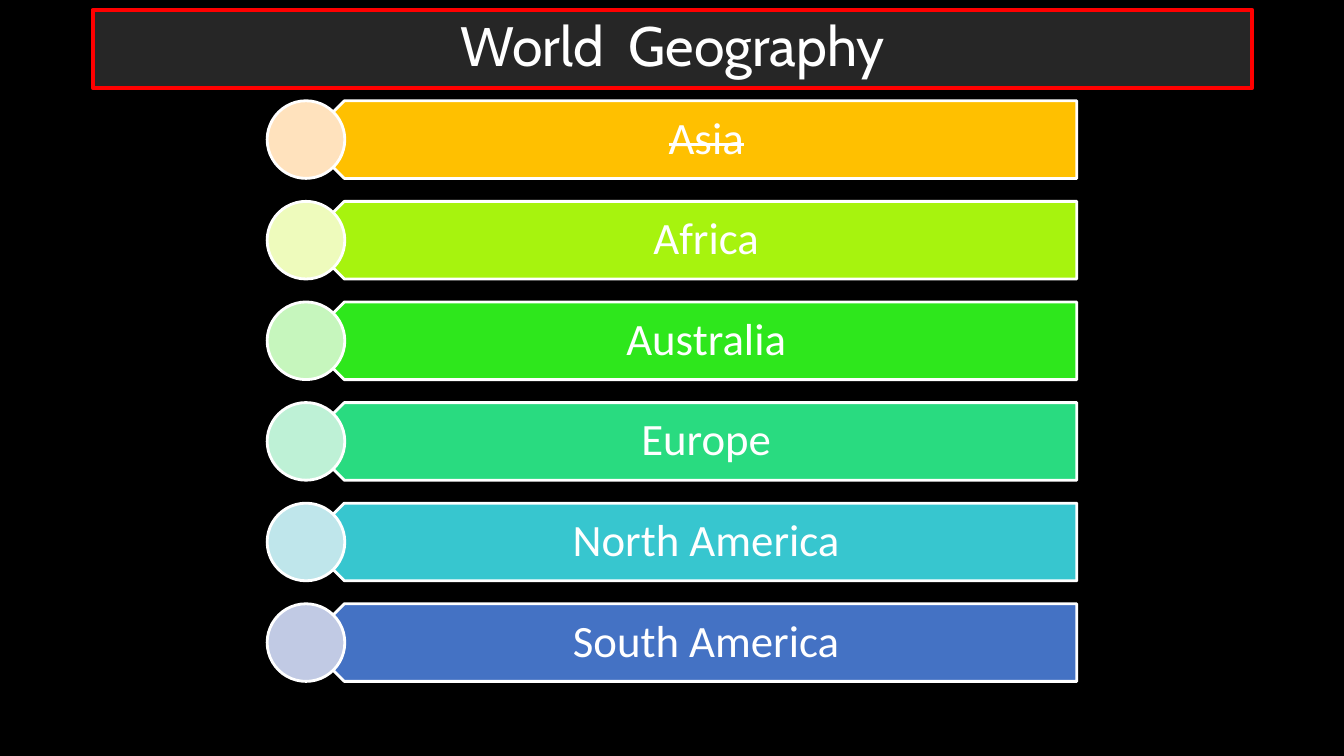
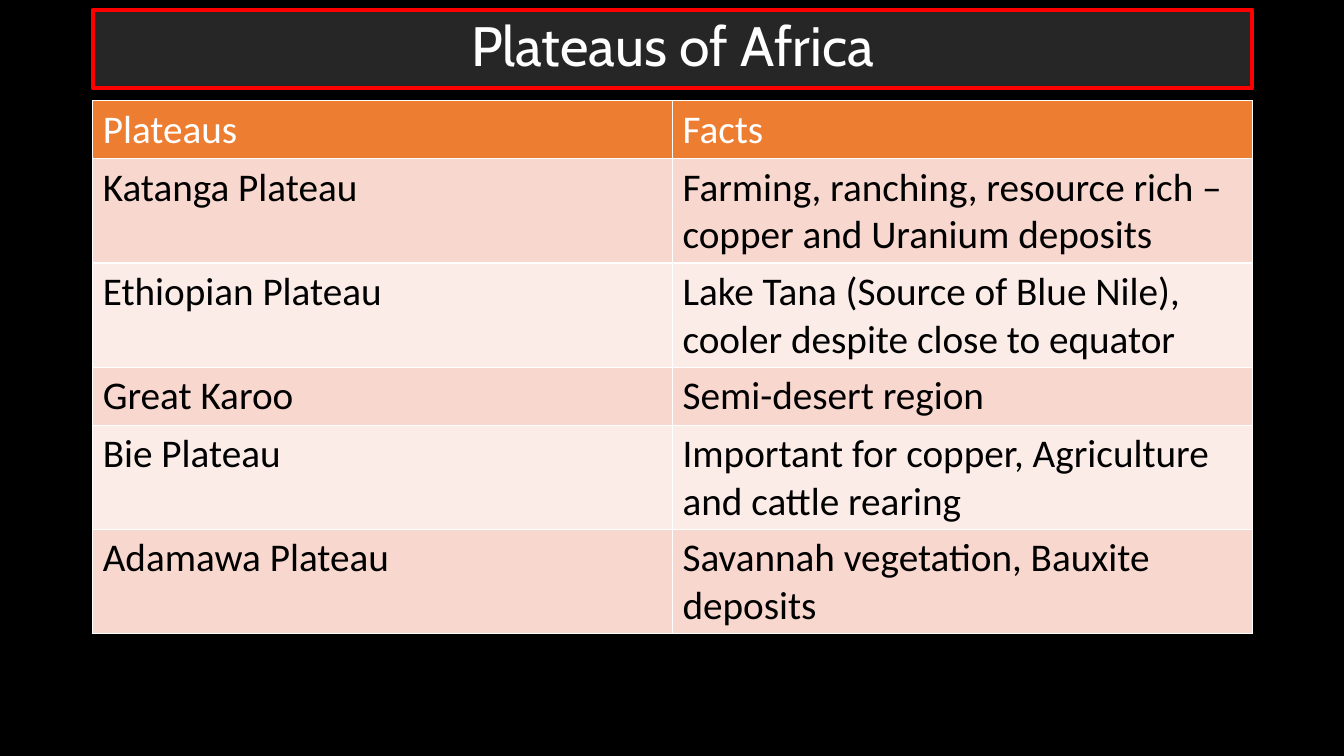
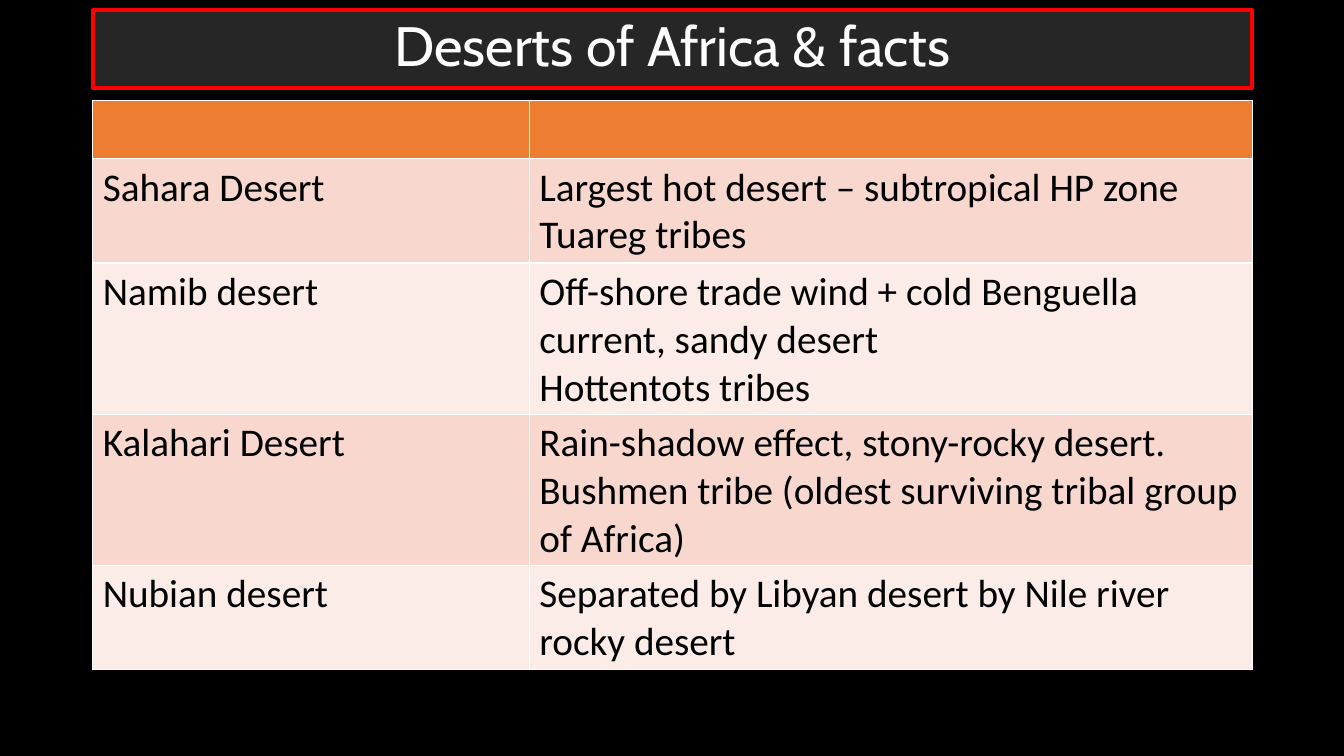
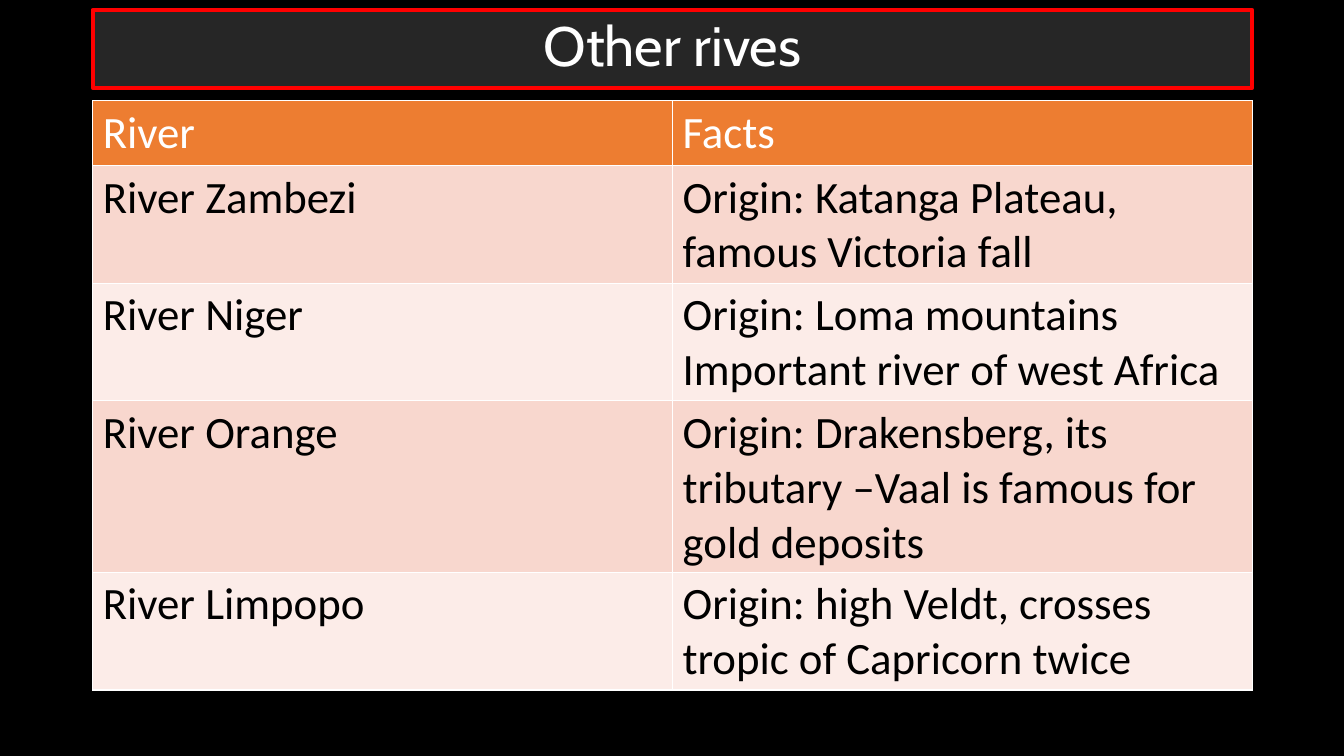
from lxml.etree import SubElement
from pptx import Presentation
from pptx.dml.color import RGBColor
from pptx.enum.shapes import MSO_SHAPE
from pptx.enum.text import MSO_ANCHOR, PP_ALIGN
from pptx.oxml.ns import qn
from pptx.util import Inches, Pt

BLACK, WHITE = "000000", "FFFFFF"
TITLE_FILL, TITLE_LINE = "262626", "FF0000"
HEADER_FILL = "ED7D31"
BAND_FILLS = ("F8D7CE", "FCECE8")
TITLE_FONT, BODY_FONT = "Cabin", "Calibri"
MARGIN, CONTENT_TOP, CONTENT_WIDTH = 0.92, 1, 11.5
BAR_HEIGHT = 0.77

CONTINENTS = [
    ("Asia", "FFC000", "FFE2BD"),
    ("Africa", "A7F30E", "EEFBBC"),
    ("Australia", "2EE71C", "C6F6BD"),
    ("Europe", "29DB80", "BEF1D6"),
    ("North America", "37C6CF", "BFE6EB"),
    ("South America", "4472C4", "C1CAE4"),
]
PLATEAUS = [
    ("Plateaus", "Facts"),
    ("Katanga Plateau", "Farming, ranching, resource rich – copper and Uranium deposits"),
    ("Ethiopian Plateau", "Lake Tana (Source of Blue Nile), cooler despite close to equator"),
    ("Great Karoo", "Semi-desert region"),
    ("Bie Plateau", "Important for copper, Agriculture and cattle rearing"),
    ("Adamawa Plateau", "Savannah vegetation, Bauxite deposits"),
]
DESERTS = [
    ("", ""),
    ("Sahara Desert", "Largest hot desert – subtropical HP zone\nTuareg tribes"),
    ("Namib desert", "Off-shore trade wind + cold Benguella current, sandy desert\n"
                     "Hottentots tribes"),
    ("Kalahari Desert", "Rain-shadow effect, stony-rocky desert.\n"
                        "Bushmen tribe (oldest surviving tribal group of Africa)"),
    ("Nubian desert", "Separated by Libyan desert by Nile river\nrocky desert"),
]
RIVERS = [
    ("River", "Facts"),
    ("River Zambezi", "Origin: Katanga Plateau, famous Victoria fall"),
    ("River Niger", "Origin: Loma mountains\nImportant river of west Africa"),
    ("River Orange", "Origin: Drakensberg, its tributary –Vaal is famous for gold deposits"),
    ("River Limpopo", "Origin: high Veldt, crosses tropic of Capricorn twice"),
]


def paint(color_format_owner, color):
    """Give a fill a solid colour from a hex string."""
    color_format_owner.solid()
    color_format_owner.fore_color.rgb = RGBColor.from_string(color)


def write(frame, text, size=32, color=WHITE, font=BODY_FONT, align=PP_ALIGN.LEFT,
          spacing=None, strike=False):
    """Write one paragraph per line of text into a text frame."""
    frame.word_wrap = True
    for index, line in enumerate(text.split("\n")):
        paragraph = frame.paragraphs[0] if index == 0 else frame.add_paragraph()
        paragraph.alignment = align
        if spacing:
            paragraph.line_spacing = spacing
        if not line:
            continue
        run = paragraph.add_run()
        run.text = line
        run.font.size = Pt(size)
        run.font.name = font
        paint(run.font.fill, color)
        if strike:
            run.font._element.set("strike", "sngStrike")


def border_cell(cell, color=WHITE, width=1):
    properties = cell._tc.get_or_add_tcPr()
    for position, side in enumerate(("lnL", "lnR", "lnT", "lnB")):
        line = SubElement(properties, qn(f"a:{side}"), w=str(Pt(width)))
        fill = SubElement(line, qn("a:solidFill"))
        SubElement(fill, qn("a:srgbClr"), val=color)
        properties.insert(position, line)


class Deck:
    def __init__(self):
        self.presentation = Presentation()
        self.presentation.slide_width = Inches(13.33)
        self.presentation.slide_height = Inches(7.5)
        paint(self.presentation.slide_master.background.fill, BLACK)
        self.slide = None

    def add_slide(self):
        self.slide = self.presentation.slides.add_slide(self.presentation.slide_layouts[6])

    def shape(self, kind, left, top, width, height, fill, line=WHITE, line_width=2):
        shape = self.slide.shapes.add_shape(
            kind, Inches(left), Inches(top), Inches(width), Inches(height))
        shape.shadow.inherit = False
        paint(shape.fill, fill)
        paint(shape.line.fill, line)
        shape.line.width = Pt(line_width)
        return shape

    def title(self, text):
        box = self.shape(MSO_SHAPE.ROUNDED_RECTANGLE, MARGIN, 0.1, CONTENT_WIDTH, BAR_HEIGHT,
                         TITLE_FILL, TITLE_LINE, 3)
        box.adjustments[0] = 0
        box.text_frame.vertical_anchor = MSO_ANCHOR.MIDDLE
        write(box.text_frame, text, size=39.6, font=TITLE_FONT,
              align=PP_ALIGN.CENTER, spacing=0.9)

    def bar(self, top, text, fill, circle_fill, strike):
        """Draw a left-pointing bar with its label and a circle over the tip."""
        self.shape(MSO_SHAPE.PENTAGON, 3.03, top, 7.65, BAR_HEIGHT, fill).rotation = 180
        label = self.slide.shapes.add_textbox(
            Inches(3.23), Inches(top), Inches(7.46), Inches(BAR_HEIGHT))
        frame = label.text_frame
        frame.vertical_anchor = MSO_ANCHOR.MIDDLE
        frame.margin_left, frame.margin_right = Inches(0.34), Inches(0.25)
        frame.margin_top = frame.margin_bottom = Inches(0.13)
        write(frame, text, align=PP_ALIGN.CENTER, spacing=0.9, strike=strike)
        self.shape(MSO_SHAPE.OVAL, 2.65, top, BAR_HEIGHT, BAR_HEIGHT, circle_fill)

    def table(self, rows, first_width, size):
        """Add a banded table whose rows are one line high and grow with their text."""
        row_height = Inches(size * 1.22 / 72 + 0.1)
        table = self.slide.shapes.add_table(
            len(rows), 2, Inches(MARGIN), Inches(CONTENT_TOP),
            Inches(CONTENT_WIDTH), row_height * len(rows)).table
        table.columns[0].width = Inches(first_width)
        table.columns[1].width = Inches(CONTENT_WIDTH - first_width)
        for row_index, row in enumerate(rows):
            header = row_index == 0
            fill = HEADER_FILL if header else BAND_FILLS[(row_index - 1) % 2]
            for column_index, text in enumerate(row):
                cell = table.cell(row_index, column_index)
                paint(cell.fill, fill)
                border_cell(cell)
                write(cell.text_frame, text, size=size, color=WHITE if header else BLACK)


def main():
    deck = Deck()

    deck.add_slide()
    pitch = 4.99 / (len(CONTINENTS) - 1)
    for index, (name, fill, circle_fill) in enumerate(CONTINENTS):
        deck.bar(CONTENT_TOP + index * pitch, name, fill, circle_fill, strike=name == "Asia")
    deck.title("World  Geography")

    for title, rows, first_width, size in (
        ("Plateaus of Africa", PLATEAUS, 5.75, 28),
        ("Deserts of Africa & facts", DESERTS, 4.33, 28),
        ("Other rives", RIVERS, 5.75, 32),
    ):
        deck.add_slide()
        deck.table(rows, first_width, size)
        deck.title(title)

    deck.presentation.save("out.pptx")


if __name__ == "__main__":
    main()
